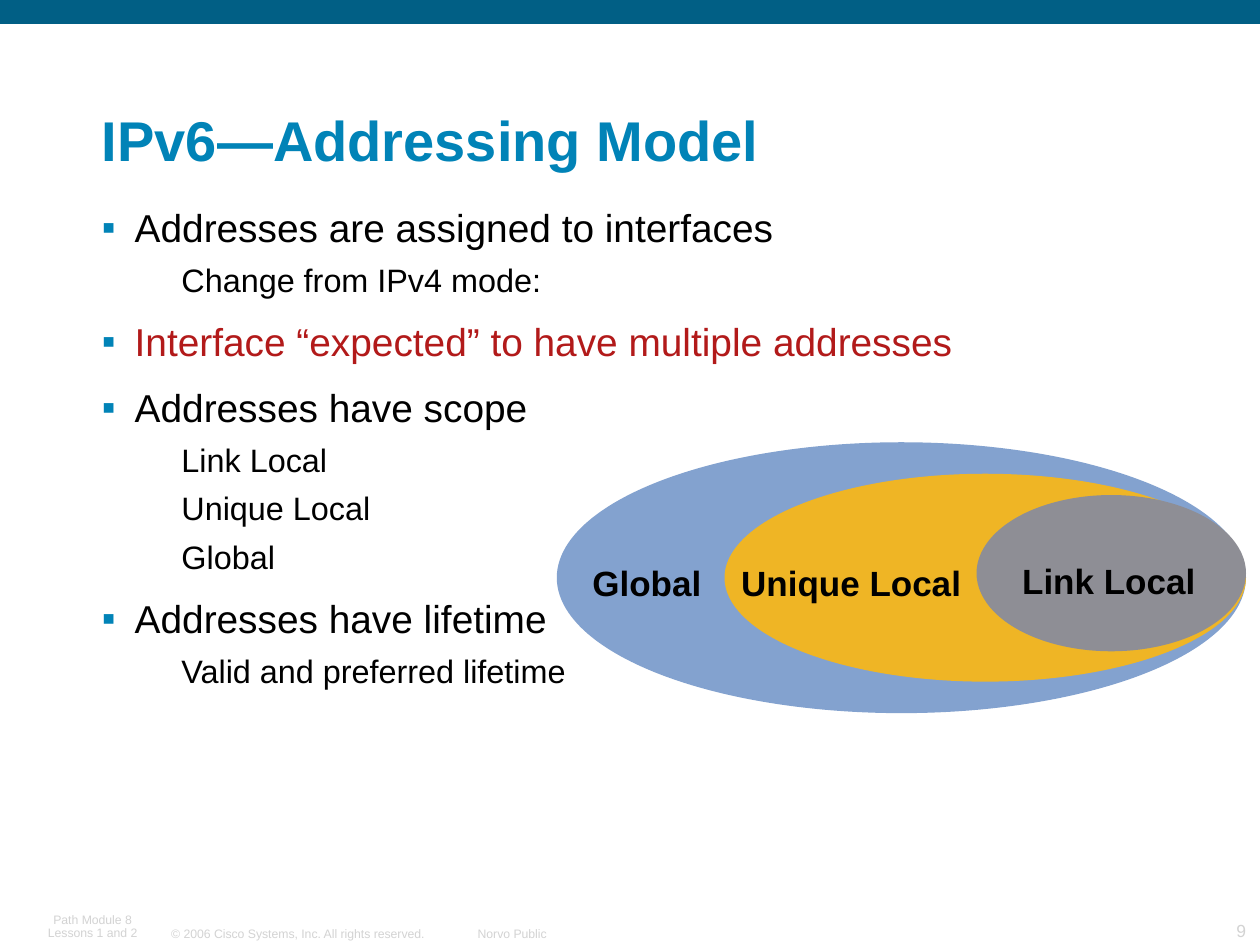
from lxml.etree import SubElement
from pptx import Presentation
from pptx.dml.color import RGBColor
from pptx.enum.shapes import MSO_SHAPE
from pptx.enum.text import MSO_ANCHOR, MSO_AUTO_SIZE, PP_ALIGN
from pptx.oxml.ns import qn
from pptx.util import Pt

BLUE = "0183B7"
BLACK = "000000"
RED = "B21A1A"
FOOTER_GREY = "D3D3D3"

LEVELS = [
    {"size": 22.2, "before": 15, "margin": 18.7, "indent": -18.7, "bullet": "▪"},
    {"size": 18.5, "before": 8.8, "margin": 45.4, "indent": 0, "bullet": None},
]
POINTS = [
    (0, "Addresses are assigned to interfaces", BLACK),
    (1, "Change from IPv4 mode:", BLACK),
    (0, "Interface “expected” to have multiple addresses", RED),
    (0, "Addresses have scope", BLACK),
    (1, "Link Local", BLACK),
    (1, "Unique Local", BLACK),
    (1, "Global", BLACK),
    (0, "Addresses have lifetime", BLACK),
    (1, "Valid and preferred lifetime", BLACK),
]


def color(value):
    return RGBColor.from_string(value)


def apply(target, values):
    for name, value in values.items():
        setattr(target, name, value)


def style(span, size, shade, bold=False):
    apply(span.font, {"name": "Arial", "size": Pt(size), "bold": bold})
    span.font.color.rgb = color(shade)


def set_frame(frame, anchor=MSO_ANCHOR.TOP, wrap=True, side=6.5, edge=3):
    apply(frame, {
        "auto_size": MSO_AUTO_SIZE.NONE, "word_wrap": wrap, "vertical_anchor": anchor,
        "margin_left": Pt(side), "margin_right": Pt(side),
        "margin_top": Pt(edge), "margin_bottom": Pt(edge),
    })


def add_shape(page, kind, left, top, width, height, fill):
    shape = page.shapes.add_shape(kind, Pt(left), Pt(top), Pt(width), Pt(height))
    shape.shadow.inherit = False
    shape.fill.solid()
    shape.fill.fore_color.rgb = color(fill)
    shape.line.fill.background()


def add_label(page, place, lines, size, shade, align, bold=False, spacing=1.0, **frame_values):
    box = page.shapes.add_textbox(*map(Pt, place))
    frame = box.text_frame
    set_frame(frame, **frame_values)
    for index, line in enumerate(lines):
        para = frame.add_paragraph() if index else frame.paragraphs[0]
        apply(para, {"alignment": align, "line_spacing": spacing})
        span = para.add_run()
        span.text = line
        style(span, size, shade, bold)


def fill_title(page, left, top, width, height):
    title = page.shapes.title
    apply(title, {"left": Pt(left), "top": Pt(top), "width": Pt(width), "height": Pt(height)})
    set_frame(title.text_frame, MSO_ANCHOR.BOTTOM)
    para = title.text_frame.paragraphs[0]
    apply(para, {"alignment": PP_ALIGN.LEFT, "line_spacing": 0.9})
    span = para.add_run()
    span.text = "IPv6—Addressing Model"
    style(span, 32, BLUE, True)


def set_bullet(para, level):
    properties = para._p.get_or_add_pPr()
    properties.set("marL", str(Pt(level["margin"])))
    properties.set("indent", str(Pt(level["indent"])))
    if level["bullet"]:
        shade = SubElement(properties, qn("a:buClr"))
        SubElement(shade, qn("a:srgbClr"), val=BLUE)
        SubElement(properties, qn("a:buFont"), typeface="Arial")
        SubElement(properties, qn("a:buChar"), char=level["bullet"])
    else:
        SubElement(properties, qn("a:buNone"))


def add_points(page, left, top, width, height):
    frame = page.shapes.add_textbox(Pt(left), Pt(top), Pt(width), Pt(height)).text_frame
    set_frame(frame)
    for index, (depth, text, shade) in enumerate(POINTS):
        level = LEVELS[depth]
        para = frame.add_paragraph() if index else frame.paragraphs[0]
        set_bullet(para, level)
        apply(para, {
            "level": depth, "line_spacing": 0.85,
            "space_before": Pt(level["before"] if index else 0),
        })
        span = para.add_run()
        span.text = text
        style(span, level["size"], shade)


def add_scopes(page, left, top, width):
    right = left + width
    ellipses = [
        (393.8, 0, 154.8, "83A2CF"),
        (298, 18, 118.8, "EFB525"),
        (154, 30.2, 89.3, "8E8E95"),
    ]
    for size, drop, height, fill in ellipses:
        add_shape(page, MSO_SHAPE.OVAL, right - size, top + drop, size, height, fill)
    labels = [
        ("Global", 13, 64.8, 77),
        ("Unique Local", 98, 64.8, 140.4),
        ("Link Local", 258.5, 63.4, 113.8),
    ]
    for text, shift, drop, size in labels:
        add_label(page, (left + shift, top + drop, size, 31), [text], 20, BLACK,
                  PP_ALIGN.CENTER, bold=True, wrap=False, side=7.2, edge=3.6)


def add_footer(page, bottom):
    items = [
        (15.1, 75.6, 21.6, ["Path Module 8", "Lessons 1 and 2"], 7, PP_ALIGN.CENTER, 0.9),
        (91.4, 158.4, 15.1, ["© 2006 Cisco Systems, Inc. All rights reserved."], 7, PP_ALIGN.LEFT, 1.0),
        (267.8, 51.1, 15.1, ["Norvo Public"], 7, PP_ALIGN.RIGHT, 1.0),
        (660.2, 58.3, 18.7, ["9"], 10, PP_ALIGN.RIGHT, 1.0),
    ]
    for left, width, height, lines, size, align, spacing in items:
        add_label(page, (left, bottom - height, width, height), lines, size, FOOTER_GREY,
                  align, spacing=spacing, anchor=MSO_ANCHOR.BOTTOM, wrap=len(lines) > 1)


def main():
    deck = Presentation()
    apply(deck, {"slide_width": Pt(720), "slide_height": Pt(540)})
    page = deck.slides.add_slide(deck.slide_layouts[5])
    add_shape(page, MSO_SHAPE.RECTANGLE, 0, 0, 720, 13.7, "015F85")
    add_footer(page, 540.5)
    fill_title(page, 51.8, 36, 641.5, 66.2)
    add_points(page, 51.8, 117.4, 625, 281.5)
    add_scopes(page, 318.2, 252.7, 393.8)
    deck.save("out.pptx")


if __name__ == "__main__":
    main()
